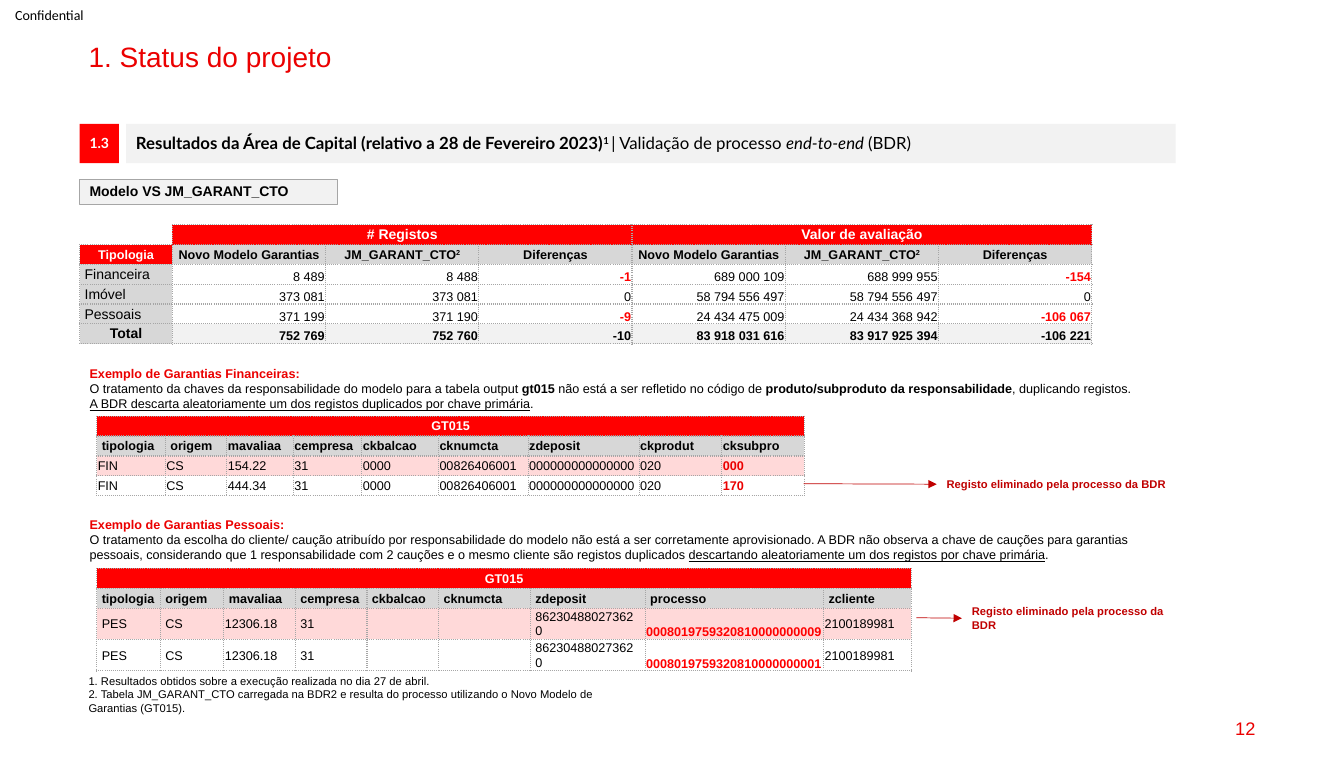
"""Build the project status slide with its validation tables and notes."""
from dataclasses import dataclass
from typing import NamedTuple

from lxml import etree
from pptx import Presentation
from pptx.dml.color import RGBColor
from pptx.enum.shapes import MSO_CONNECTOR, MSO_SHAPE
from pptx.enum.text import MSO_ANCHOR, PP_ALIGN
from pptx.oxml.ns import qn
from pptx.util import Inches, Pt

LEFT, MID, RIGHT = PP_ALIGN.LEFT, PP_ALIGN.CENTER, PP_ALIGN.RIGHT
TOP, CENTER, BOTTOM = MSO_ANCHOR.TOP, MSO_ANCHOR.MIDDLE, MSO_ANCHOR.BOTTOM
RECT, LINE = MSO_SHAPE.RECTANGLE, MSO_CONNECTOR.STRAIGHT
HUES = {"red": "FF0000", "title": "EB0000", "dark": "C00000", "black": "000000",
        "white": "FFFFFF", "pale": "F2F2F2", "gray": "D7D7D7", "pink": "FFD9D9",
        "edge": "A6A6A6"}


class Run(NamedTuple):
    text: str
    size: float = 9
    hue: str = "black"
    bold: bool = False
    italic: bool = False
    under: bool = False
    sup: bool = False
    face: str = "Arial"


@dataclass
class Box:
    x: float
    y: float
    w: float
    h: float
    paras: list[list[Run]]
    anchor: MSO_ANCHOR = TOP
    align: PP_ALIGN = LEFT
    fill: str = ""
    edge: str = ""
    pad: tuple[float, float] = (0.1, 0.05)
    space: float = 1.0


@dataclass
class Cell:
    runs: list[Run]
    fill: str = "white"
    align: PP_ALIGN = LEFT
    anchor: MSO_ANCHOR = CENTER
    pad: float = 0.01
    span: int = 1


@dataclass
class Grid:
    x: float
    y: float
    h: float
    cols: list[float]
    rows: list[list[Cell]]


class Arrow(NamedTuple):
    x: float
    y: float
    note: Box


def rgb(hue: str) -> RGBColor:
    return RGBColor.from_string(HUES[hue])


def write(para, runs: list[Run], align: PP_ALIGN) -> None:
    para.alignment = align
    for item in runs:
        run = para.add_run()
        run.text = item.text
        font = run.font
        font.name, font.size = item.face, Pt(item.size)
        font.bold, font.italic, font.underline = item.bold, item.italic, item.under
        font.color.rgb = rgb(item.hue)
        if item.sup:
            run._r.get_or_add_rPr().set("baseline", "30000")


def draw_box(slide, box: Box):
    area = [Inches(n) for n in (box.x, box.y, box.w, box.h)]
    if box.fill:
        shape = slide.shapes.add_shape(RECT, *area)
        shape.shadow.inherit = False
        shape.fill.solid()
        shape.fill.fore_color.rgb = rgb(box.fill)
        if box.edge:
            shape.line.color.rgb = rgb(box.edge)
            shape.line.width = Pt(0.75)
        else:
            shape.line.fill.background()
    else:
        shape = slide.shapes.add_textbox(*area)
    frame = shape.text_frame
    frame.word_wrap = True
    frame.vertical_anchor = box.anchor
    frame.margin_left = frame.margin_right = Inches(box.pad[0])
    frame.margin_top = frame.margin_bottom = Inches(box.pad[1])
    for i, runs in enumerate(box.paras):
        para = frame.add_paragraph() if i else frame.paragraphs[0]
        para.line_spacing = box.space
        write(para, runs, box.align)
    return shape


def draw_cell(cell, data: Cell) -> None:
    props = cell._tc.get_or_add_tcPr()
    for side in ("L", "R", "T", "B") if data.fill else ("R", "B"):
        line = etree.SubElement(props, qn(f"a:ln{side}"), w="12700")
        paint = etree.SubElement(line, qn("a:solidFill"))
        etree.SubElement(paint, qn("a:srgbClr"), val=HUES["edge"])
        etree.SubElement(line, qn("a:prstDash"), val="sysDot")
    if data.fill:
        cell.fill.solid()
        cell.fill.fore_color.rgb = rgb(data.fill)
    else:
        cell.fill.background()
    cell.vertical_anchor = data.anchor
    cell.margin_left = cell.margin_right = Inches(data.pad)
    cell.margin_top, cell.margin_bottom = Inches(0.01), 0
    para = cell.text_frame.paragraphs[0]
    write(para, data.runs, data.align)
    if not data.runs:
        etree.SubElement(para._p, qn("a:endParaRPr"), sz="900")


def draw_grid(slide, grid: Grid) -> None:
    count = len(grid.rows)
    table = slide.shapes.add_table(count, len(grid.cols), Inches(grid.x), Inches(grid.y),
                                   Inches(sum(grid.cols)), Inches(grid.h)).table
    table.first_row = table.horz_banding = False
    for col, width in zip(table.columns, grid.cols):
        col.width = Inches(width)
    for r, row in enumerate(grid.rows):
        table.rows[r].height = Inches(grid.h / count)
        c = 0
        for data in row:
            for k in range(data.span):
                draw_cell(table.cell(r, c + k),
                          Cell([], data.fill) if k else data)
            if data.span > 1:
                table.cell(r, c).merge(table.cell(r, c + data.span - 1))
            c += data.span


def draw_arrow(slide, arrow: Arrow) -> None:
    note = draw_box(slide, arrow.note)
    y = Inches(arrow.y)
    line = slide.shapes.add_connector(LINE, Inches(arrow.x), y, note.left, y)
    line.end_connect(note, 1)
    line.line.color.rgb = rgb("dark")
    line.line.width = Pt(0.5)
    etree.SubElement(line.line._get_or_add_ln(), qn("a:tailEnd"), type="triangle")
    etree.SubElement(line._element.spPr, qn("a:effectLst"))


def banner(text: str, span: int, size: float = 9) -> Cell:
    return Cell([Run(text, size, "white", True)], "red", MID, span=span)


def total_rows() -> list[list[Cell]]:
    names = [[Run("Novo Modelo Garantias", bold=True)],
             [Run("JM_GARANT_CTO", bold=True), Run("2", bold=True, sup=True)],
             [Run("Diferenças", bold=True)]]
    rows = [[Cell([], ""), banner("# Registos", 3, 10), banner("Valor de avaliação", 3, 10)],
            [banner("Tipologia", 1)] + [Cell(n, "gray", MID) for n in names * 2]]
    for name, *values in (
            ("Financeira", "8 489", "8 488", "-1", "689 000 109", "688 999 955", "-154"),
            ("Imóvel", "373 081", "373 081", "0", "58 794 556 497", "58 794 556 497", "0"),
            ("Pessoais", "371 199", "371 190", "-9", "24 434 475 009", "24 434 368 942",
             "-106 067"),
            ("Total", "752 769", "752 760", "-10", "83 918 031 616", "83 917 925 394",
             "-106 221")):
        total = name == "Total"
        row = [Cell([Run(name, 10, bold=total)], "gray", MID if total else LEFT, pad=0.05)]
        for text in values:
            minus = text.startswith("-")
            run = Run(text, hue="red" if minus and not total else "black", bold=minus or total)
            row.append(Cell([run], "pale" if total else "white", RIGHT, BOTTOM))
        rows.append(row)
    return rows


def key_rows(heads: str, lines: list[list[str]], key: int, hue: str, anchor: MSO_ANCHOR,
             wide_heads: range, wide: set[int]) -> list[list[Cell]]:
    names = heads.split()
    rows = [[banner("GT015", len(names))],
            [Cell([Run(n, bold=True)], "gray", pad=0.05 if i in wide_heads else 0.01)
             for i, n in enumerate(names)]]
    for fill, line in zip(("pink", "white"), lines):
        rows.append([Cell([Run(t, hue=hue if i == key else "black", bold=i == key)] if t else [],
                          fill, anchor=anchor if i == key else CENTER,
                          pad=0.05 if i in wide else 0.01) for i, t in enumerate(line)])
    return rows


def note(x: float, y: float, w: float) -> Box:
    text = "Registo eliminado pela processo da BDR"
    return Box(x, y, w, 0.33, [[Run(text, 8, "dark", True)]], CENTER)


def main() -> None:
    deck = Presentation()
    deck.slide_width, deck.slide_height = Inches(13.33), Inches(7.76)
    slide = deck.slides.add_slide(deck.slide_layouts[6])
    boxes = [
        Box(0.15, 0, 0.84, 0.29, [[Run("Confidential", 10, face="Calibri")]], CENTER, pad=(0, 0)),
        Box(0.78, 0.38, 11.77, 0.34, [[Run("1. Status do projeto", 20, "title")]], space=0.9),
        Box(9.55, 7.02, 3, 0.41, [[Run("12", 13, "title")]], CENTER, RIGHT),
        Box(0.79, 1.23, 0.39, 0.39, [[Run("1.3", 10, "white", True, face="Lato")]],
            CENTER, MID, "red", pad=(0.05, 0.05), space=0.9),
        Box(1.25, 1.23, 10.41, 0.39, [[
            Run("Resultados da Área de Capital (relativo a 28 de Fevereiro 2023)", 12,
                bold=True, face="Lato"),
            Run("1 ", 12, bold=True, sup=True, face="Lato"),
            Run("| Validação de processo ", 12, face="Lato"),
            Run("end-to-end ", 12, italic=True, face="Lato"),
            Run("(BDR)", 12, face="Lato")]], CENTER, fill="pale", space=0.9),
        Box(0.79, 1.78, 2.56, 0.25, [[Run("Modelo VS JM_GARANT_CTO", 10, bold=True)]],
            CENTER, fill="pale", edge="edge", space=0.9),
        Box(0.78, 6.64, 5.7, 0.37, [
            [Run("1. Resultados obtidos sobre a execução realizada no dia 27 de abril.", 8)],
            [Run("2. Tabela JM_GARANT_CTO carregada na BDR2 e resulta do processo utilizando "
                 "o Novo Modelo de Garantias (GT015).", 8)]]),
        Box(0.79, 5.08, 10.55, 1.5, [
            [Run("Exemplo de Garantias Pessoais:", hue="title", bold=True)],
            [Run("O tratamento da escolha do cliente/ caução atribuído por responsabilidade do "
                 "modelo não está a ser corretamente aprovisionado. A BDR não observa a chave de "
                 "cauções para garantias pessoais, considerando que 1 responsabilidade com 2 "
                 "cauções e o mesmo cliente são registos duplicados "),
             Run("descartando aleatoriamente um dos registos por chave primária", under=True),
             Run(".")]]),
        Box(0.79, 3.58, 10.55, 1.37, [
            [Run("Exemplo de Garantias Financeiras:", hue="title", bold=True)],
            [Run("O tratamento da chaves da responsabilidade do modelo para a tabela output "),
             Run("gt015", bold=True), Run(" não está a ser refletido no código de "),
             Run("produto/subproduto da responsabilidade", bold=True),
             Run(", duplicando registos. "),
             Run("A BDR descarta aleatoriamente um dos registos duplicados por chave primária",
                 under=True), Run(".")]])]
    people = [["PES", "CS", "12306.18", "31", "", "", "862304880273620",
               f"000801975932081000000000{n}", "2100189981"] for n in (9, 1)]
    funds = [["FIN", "CS", value, "31", "0000", "00826406001", "000000000000000", "020", key]
             for value, key in (("154.22", "000"), ("444.34", "170"))]
    grids = [
        Grid(0.79, 2.23, 1.18, [0.92] + [1.52] * 6, total_rows()),
        Grid(0.96, 5.64, 0.79, [0.63, 0.63, 0.71, 0.71, 0.71, 0.91, 1.14, 1.77, 0.87],
             key_rows("tipologia origem mavaliaa cempresa ckbalcao cknumcta zdeposit processo "
                      "zcliente", people, 7, "red", BOTTOM, range(9), {0, 1, 3, 6})),
        Grid(0.96, 4.13, 0.79, [0.68, 0.61, 0.66, 0.68, 0.76, 0.89, 1.1, 0.82, 0.82],
             key_rows("tipologia origem mavaliaa cempresa ckbalcao cknumcta zdeposit ckprodut "
                      "cksubpro", funds, 8, "title", CENTER, range(2), set()))]
    for box in boxes:
        draw_box(slide, box)
    for grid in grids:
        draw_grid(slide, grid)
    for arrow in (Arrow(7.97, 4.8, note(9.29, 4.64, 2.53)),
                  Arrow(9.09, 6.13, note(9.54, 5.97, 2.28))):
        draw_arrow(slide, arrow)
    deck.save("out.pptx")


if __name__ == "__main__":
    main()
